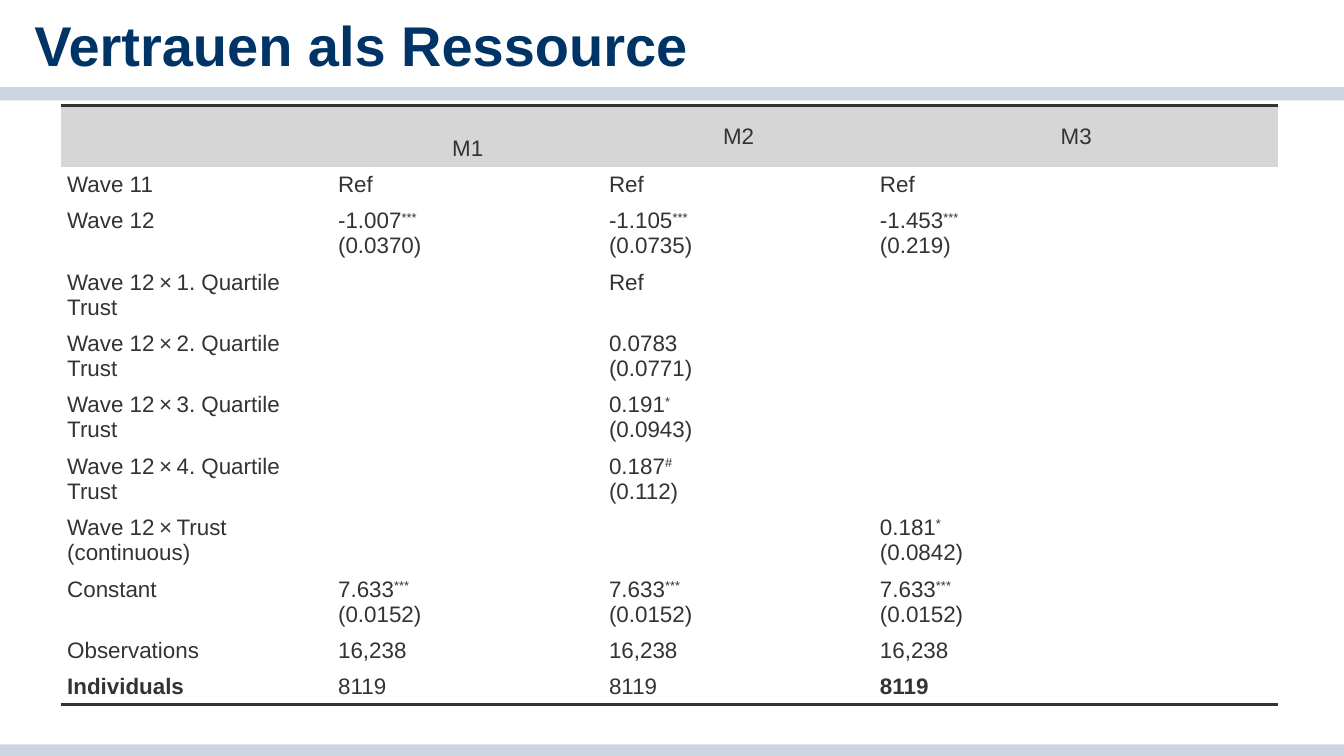
from lxml import etree
from pptx import Presentation
from pptx import util as u
from pptx.dml.color import RGBColor
from pptx.enum import shapes, text
from pptx.oxml.ns import qn

NAVY = RGBColor(0x00, 0x33, 0x66)
MIST = RGBColor(0xCC, 0xD6, 0xE0)
GREY = RGBColor(0xD6, 0xD6, 0xD6)
INK = RGBColor(0x33, 0x33, 0x33)
WHITE = RGBColor(0xFF, 0xFF, 0xFF)

FONT = "Arial"
BODY_SIZE = 12
WIDTH, HEIGHT = 25.4, 14.29
COLUMNS = [5.12, 5.12, 5.12, 7.64]
ONE_LINE, TWO_LINES = 0.68, 1.16
THIN_SPACE = chr(0x2009)
TIMES = f"{THIN_SPACE}×{THIN_SPACE}"

HEADER = ["", "\nM1", "M2", "M3"]
# Each cell lists its paragraphs; trailing marks are significance signs
CONSTANT = ["7.633***", "(0.0152)"]
ROWS = [
    ("Wave 11", ["Ref"], ["Ref"], ["Ref"]),
    ("Wave 12", ["-1.007***", "(0.0370)"], ["-1.105***", "(0.0735)"],
     ["-1.453***", "(0.219)"]),
    (f"Wave 12{TIMES}1. Quartile Trust", [], ["Ref"], []),
    (f"Wave 12{TIMES}2. Quartile Trust", [], ["0.0783", "(0.0771)"], []),
    (f"Wave 12{TIMES}3. Quartile Trust", [], ["0.191*", "(0.0943)"], []),
    (f"Wave 12{TIMES}4. Quartile Trust", [], ["0.187#", "(0.112)"], []),
    (f"Wave 12{TIMES}Trust (continuous)", [], [], ["0.181*", "(0.0842)"]),
    ("Constant", CONSTANT, CONSTANT, CONSTANT),
    ("Observations", ["16,238"], ["16,238"], ["16,238"]),
    ("Individuals", ["8119"], ["8119"], ["8119"]),
]
SINGLE_LINE = {"Wave 11", "Observations", "Individuals"}


def add_run(p, content, size, color, bold=False, raised=False):
    r = p.add_run()
    r.text = content
    f = r.font
    f.name, f.size, f.bold = FONT, u.Pt(size), bold
    f.color.rgb = color
    if raised:
        r._r.get_or_add_rPr().set("baseline", "30000")


def add_break(p, size):
    """Add a line break as tall as the text around it."""
    p.add_line_break()
    rPr = etree.SubElement(p._p.findall(qn("a:br"))[-1], qn("a:rPr"),
                           sz=str(size * 100))
    etree.SubElement(rPr, qn("a:latin"), typeface=FONT)


def add_bar(s, top):
    sp = s.shapes.add_shape(shapes.MSO_SHAPE.RECTANGLE, 0, u.Cm(top),
                            u.Cm(WIDTH), u.Cm(0.25))
    sp.shadow.inherit = False
    sp.fill.solid()
    sp.fill.fore_color.rgb = MIST
    sp.line.fill.background()


def set_title(s, content):
    sp = s.shapes.title
    sp.left, sp.top = u.Cm(0.65), u.Cm(0.2)
    sp.width, sp.height = u.Cm(17.93), u.Cm(1.19)
    tf = sp.text_frame
    tf.margin_left = tf.margin_right = tf.margin_top = tf.margin_bottom = 0
    tf.vertical_anchor = text.MSO_ANCHOR.TOP
    tf.auto_size = text.MSO_AUTO_SIZE.NONE
    p = tf.paragraphs[0]
    p.alignment = text.PP_ALIGN.LEFT
    p.line_spacing = 1.0
    add_run(p, content, 30, NAVY, bold=True)


def set_borders(cell, ruled):
    """Draw a 2 pt rule on the named sides and clear the others."""
    tcPr = cell._tc.get_or_add_tcPr()
    for i, side in enumerate(["lnL", "lnR", "lnT", "lnB"]):
        ln = etree.Element(qn("a:" + side), w=str(u.Pt(2)))
        if side in ruled:
            fill = etree.SubElement(ln, qn("a:solidFill"))
            etree.SubElement(fill, qn("a:srgbClr"), val=str(INK))
        else:
            etree.SubElement(ln, qn("a:noFill"))
        tcPr.insert(i, ln)


def fill_cell(cell, paragraphs, fill, align, bold=False, ruled=(),
              anchor=text.MSO_ANCHOR.TOP):
    cell.fill.solid()
    cell.fill.fore_color.rgb = fill
    set_borders(cell, ruled)
    cell.margin_left = cell.margin_right = u.Cm(0.11)
    cell.margin_top = cell.margin_bottom = u.Cm(0.1)
    cell.vertical_anchor = anchor
    tf = cell.text_frame
    for i, content in enumerate(paragraphs):
        p = tf.add_paragraph() if i else tf.paragraphs[0]
        p.alignment = align
        if content.startswith("\n"):
            add_break(p, BODY_SIZE)
            content = content[1:]
        value = content.rstrip("*#")
        marks = content[len(value):]
        if value:
            add_run(p, value, BODY_SIZE, INK, bold)
        if marks:
            add_run(p, marks, BODY_SIZE, INK, bold, raised=True)


def add_results(s):
    heights = [TWO_LINES] + [ONE_LINE if row[0] in SINGLE_LINE else TWO_LINES
                             for row in ROWS]
    table = s.shapes.add_table(len(heights), len(COLUMNS), u.Cm(1.16), u.Cm(2),
                               u.Cm(sum(COLUMNS)), u.Cm(sum(heights))).table
    table.first_row = table.horz_banding = False
    for column, width in zip(table.columns, COLUMNS):
        column.width = u.Cm(width)
    for row, height in zip(table.rows, heights):
        row.height = u.Cm(height)

    # Header row
    for c, label in enumerate(HEADER):
        fill_cell(table.cell(0, c), [label], GREY, text.PP_ALIGN.CENTER,
                  ruled=["lnT"], anchor=text.MSO_ANCHOR.MIDDLE)

    # Body rows; the outer cells of the last one are bold
    for r, (label, *values) in enumerate(ROWS, 1):
        last = r == len(ROWS)
        for c, paragraphs in enumerate([[label], *values]):
            align = text.PP_ALIGN.JUSTIFY if c else text.PP_ALIGN.LEFT
            fill_cell(table.cell(r, c), paragraphs, WHITE, align,
                      bold=last and c in (0, len(COLUMNS) - 1),
                      ruled=["lnB"] if last else [])


def main():
    prs = Presentation()
    prs.slide_width, prs.slide_height = u.Cm(WIDTH), u.Cm(HEIGHT)
    s = prs.slides.add_slide(prs.slide_layouts[5])
    # Footer and title bars
    for top in (14.07, 1.65):
        add_bar(s, top)
    set_title(s, "Vertrauen als Ressource")
    add_results(s)
    prs.save("out.pptx")


if __name__ == "__main__":
    main()
